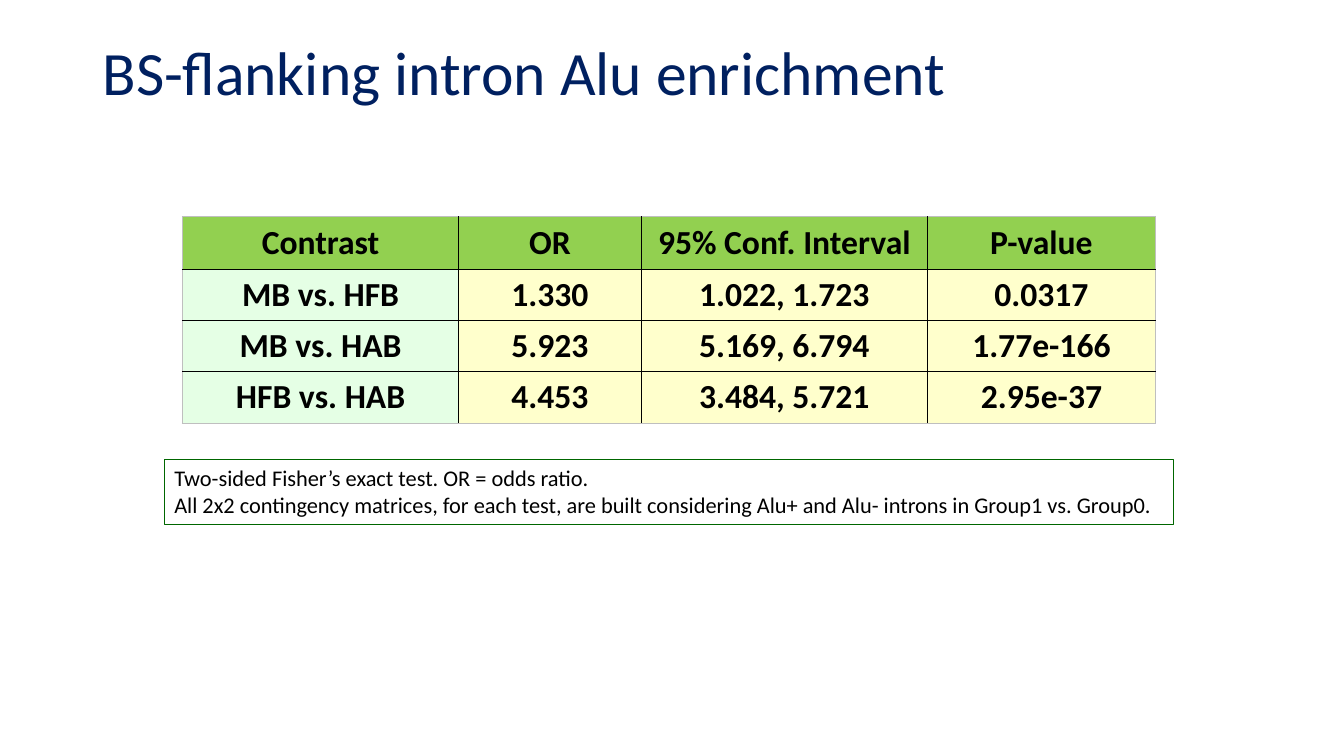
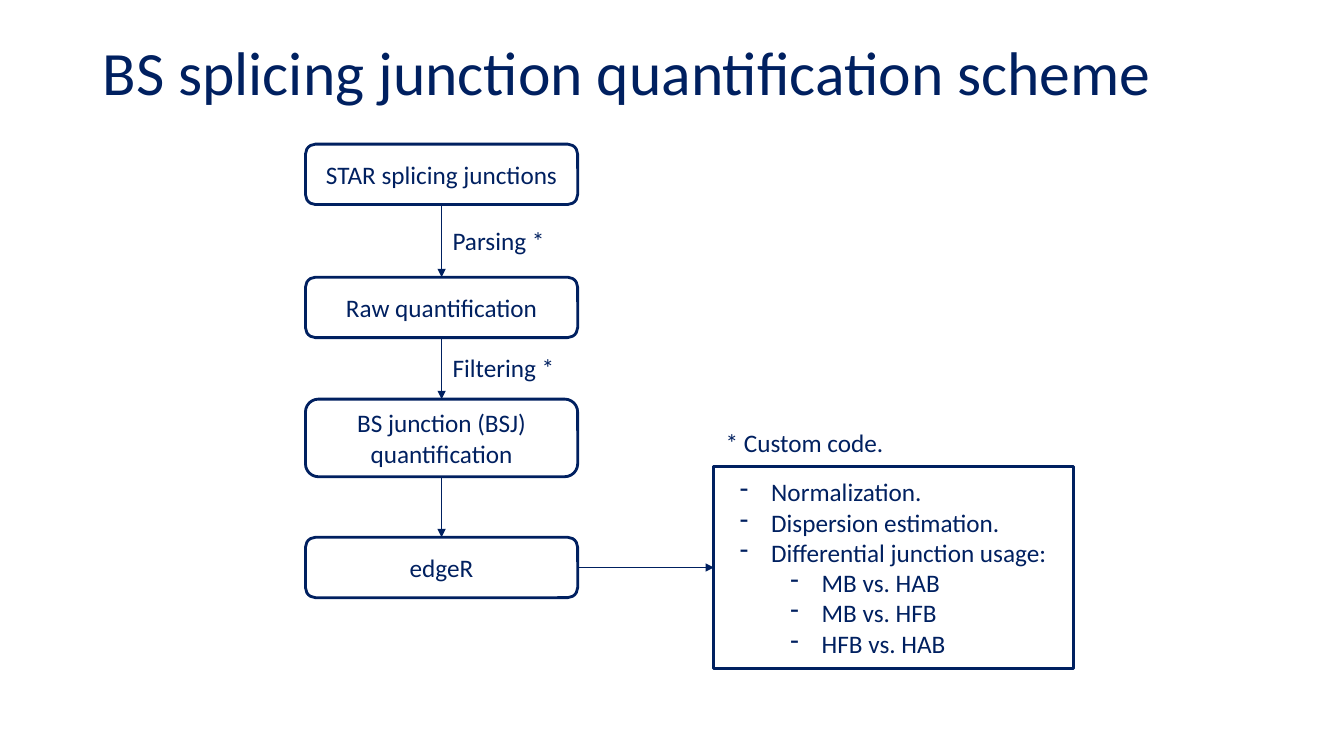
import pptx
import pptx.util
import pptx.dml.color
import pptx.enum.shapes
import pptx.enum.text
import pptx.oxml.ns
import lxml.etree

Inches, Pt = pptx.util.Inches, pptx.util.Pt
SHAPE = pptx.enum.shapes.MSO_SHAPE
ALIGN = pptx.enum.text.PP_ALIGN
ANCHOR = pptx.enum.text.MSO_ANCHOR
qn = pptx.oxml.ns.qn

# Shared style
FONT = "Calibri"
NAVY, WHITE, BLACK = "002060", "FFFFFF", "000000"
GREEN, MINT, CREAM = "92D050", "E5FFE5", "FFFFCC"
NOTE_LINE, OUTER_LINE = "006600", "BFBFBF"

# Slide 1 content
TABLE_TITLE = "BS-flanking intron Alu enrichment"
TABLE_ROWS = [
    ("Contrast", "OR", "95% Conf. Interval", "P-value"),
    ("MB vs. HFB", "1.330", "1.022, 1.723", "0.0317"),
    ("MB vs. HAB", "5.923", "5.169, 6.794", "1.77e-166"),
    ("HFB vs. HAB", "4.453", "3.484, 5.721", "2.95e-37"),
]
COL_WIDTHS = [2.74, 1.81, 2.84, 2.26]
ROW_HEIGHTS = [0.52, 0.51, 0.51, 0.51]
NOTES = [
    "Two-sided Fisher’s exact test. OR = odds ratio.",
    "All 2x2 contingency matrices, for each test, are built considering "
    "Alu+ and Alu- introns in Group1 vs. Group0.",
]

# Slide 2 content
SCHEME_TITLE = "BS splicing junction quantification scheme"
STEP_LEFT, STEP_WIDTH = 3.03, 2.7
STEPS = [  # text, top, height
    ("STAR splicing junctions", 1.43, 0.6),
    ("Raw quantification", 2.75, 0.6),
    ("BS junction (BSJ) quantification", 3.96, 0.77),
    ("edgeR", 5.33, 0.6),
]
LABELS = [  # text, left, top, width
    ("Parsing *", 4.39, 2.19, 1.4),
    ("Filtering *", 4.39, 3.45, 1.4),
    ("* Custom code.", 7.1, 4.19, 2),
]
DETAILS_BOX = (7.08, 4.63, 3.57, 2)
DETAILS = [  # level, text
    (0, "Normalization."),
    (0, "Dispersion estimation."),
    (0, "Differential junction usage:"),
    (1, "MB vs. HAB"),
    (1, "MB vs. HFB"),
    (1, "HFB vs. HAB"),
]


def rgb(color):
    return pptx.dml.color.RGBColor.from_string(color)


def add_run(p, text, size, color, bold=False):
    r = p.add_run()
    r.text = text
    r.font.name, r.font.size, r.font.bold = FONT, Pt(size), bold
    r.font.color.rgb = rgb(color)


def fill_text(tf, lines, size, color, align=ALIGN.LEFT, anchor=ANCHOR.TOP):
    tf.word_wrap = True
    tf.vertical_anchor = anchor
    for i, text in enumerate(lines):
        p = tf.add_paragraph() if i else tf.paragraphs[0]
        p.alignment = align
        add_run(p, text, size, color)


def add_text(s, box, lines, size, color, anchor=ANCHOR.TOP):
    sp = s.shapes.add_textbox(*map(Inches, box))
    fill_text(sp.text_frame, lines, size, color, anchor=anchor)
    return sp


def add_box(s, kind, box, fill, line, width):
    sp = s.shapes.add_shape(kind, *map(Inches, box))
    sp.shadow.inherit = False
    if fill:
        sp.fill.solid()
        sp.fill.fore_color.rgb = rgb(fill)
    else:
        sp.fill.background()
    sp.line.color.rgb = rgb(line)
    sp.line.width = Pt(width)
    return sp


def add_arrow(s, x1, y1, x2, y2):
    c = s.shapes.add_connector(pptx.enum.shapes.MSO_CONNECTOR.STRAIGHT,
                               *map(Inches, (x1, y1, x2, y2)))
    c.line.color.rgb = rgb(NAVY)
    c.line.width = Pt(0.5)
    ln = c.line._get_or_add_ln()
    lxml.etree.SubElement(ln, qn("a:tailEnd"), type="triangle")
    lxml.etree.SubElement(c._element.spPr, qn("a:effectLst"))


def set_borders(cell, colors):
    tc_pr = cell._tc.get_or_add_tcPr()
    for i, (side, color) in enumerate(zip("LRTB", colors)):
        ln = lxml.etree.Element(qn(f"a:ln{side}"), w=str(Pt(1)))
        solid = lxml.etree.SubElement(ln, qn("a:solidFill"))
        lxml.etree.SubElement(solid, qn("a:srgbClr"), val=color)
        tc_pr.insert(i, ln)


def add_slide(prs, title):
    s = prs.slides.add_slide(prs.slide_layouts[6])
    sp = add_text(s, (0.92, 0.36, 11.5, 0.77), [title], 44, NAVY, ANCHOR.MIDDLE)
    sp.text_frame.paragraphs[0].line_spacing = 0.9
    return s


def build_table_slide(prs):
    s = add_slide(prs, TABLE_TITLE)
    n_rows, n_cols = len(TABLE_ROWS), len(COL_WIDTHS)
    frame = s.shapes.add_table(n_rows, n_cols, Inches(1.81), Inches(2.15),
                               Inches(sum(COL_WIDTHS)), Inches(sum(ROW_HEIGHTS)))
    table = frame.table
    for column, width in zip(table.columns, COL_WIDTHS):
        column.width = Inches(width)
    for row, height in zip(table.rows, ROW_HEIGHTS):
        row.height = Inches(height)
    for i, texts in enumerate(TABLE_ROWS):
        for j, text in enumerate(texts):
            cell = table.cell(i, j)
            cell.vertical_anchor = ANCHOR.MIDDLE
            cell.fill.solid()
            cell.fill.fore_color.rgb = rgb(GREEN if i == 0 else CREAM if j else MINT)
            p = cell.text_frame.paragraphs[0]
            p.alignment = ALIGN.CENTER
            add_run(p, text, 24, BLACK, bold=True)
            outer = (j == 0, j == n_cols - 1, i == 0, i == n_rows - 1)
            set_borders(cell, [OUTER_LINE if edge else BLACK for edge in outer])

    # Note under the table
    sp = add_box(s, SHAPE.RECTANGLE, (1.63, 4.56, 10.01, 0.64), None, NOTE_LINE, 0.75)
    fill_text(sp.text_frame, NOTES, 16, BLACK)


def build_scheme_slide(prs):
    s = add_slide(prs, SCHEME_TITLE)

    # Steps, each joined to the next
    for text, top, height in STEPS:
        sp = add_box(s, SHAPE.ROUNDED_RECTANGLE, (STEP_LEFT, top, STEP_WIDTH, height),
                     WHITE, NAVY, 2)
        fill_text(sp.text_frame, [text], 18, NAVY, ALIGN.CENTER, ANCHOR.MIDDLE)
    center = STEP_LEFT + STEP_WIDTH / 2
    for (_, top, height), (_, next_top, _) in zip(STEPS, STEPS[1:]):
        add_arrow(s, center, top + height, center, next_top)
    for text, left, top, width in LABELS:
        add_text(s, (left, top, width, 0.4), [text], 18, NAVY)

    # Details of the last step
    sp = add_box(s, SHAPE.RECTANGLE, DETAILS_BOX, WHITE, NAVY, 2)
    tf = sp.text_frame
    tf.margin_left, tf.margin_right = Inches(0.26), Inches(0.2)
    fill_text(tf, [text for _, text in DETAILS], 18, NAVY, anchor=ANCHOR.MIDDLE)
    for p, (level, _) in zip(tf.paragraphs, DETAILS):
        p.level = level
        p_pr = p._p.get_or_add_pPr()
        p_pr.set("marL", str(Inches(0.31 + 0.5 * level)))
        p_pr.set("indent", str(Inches(-0.31)))
        lxml.etree.SubElement(p_pr, qn("a:buChar"), char="-")
    _, top, height = STEPS[-1]
    middle = top + height / 2
    add_arrow(s, STEP_LEFT + STEP_WIDTH, middle, DETAILS_BOX[0], middle)


def main():
    prs = pptx.Presentation()
    prs.slide_width, prs.slide_height = Inches(13.33), Inches(7.5)
    build_table_slide(prs)
    build_scheme_slide(prs)
    prs.save("out.pptx")


if __name__ == "__main__":
    main()
